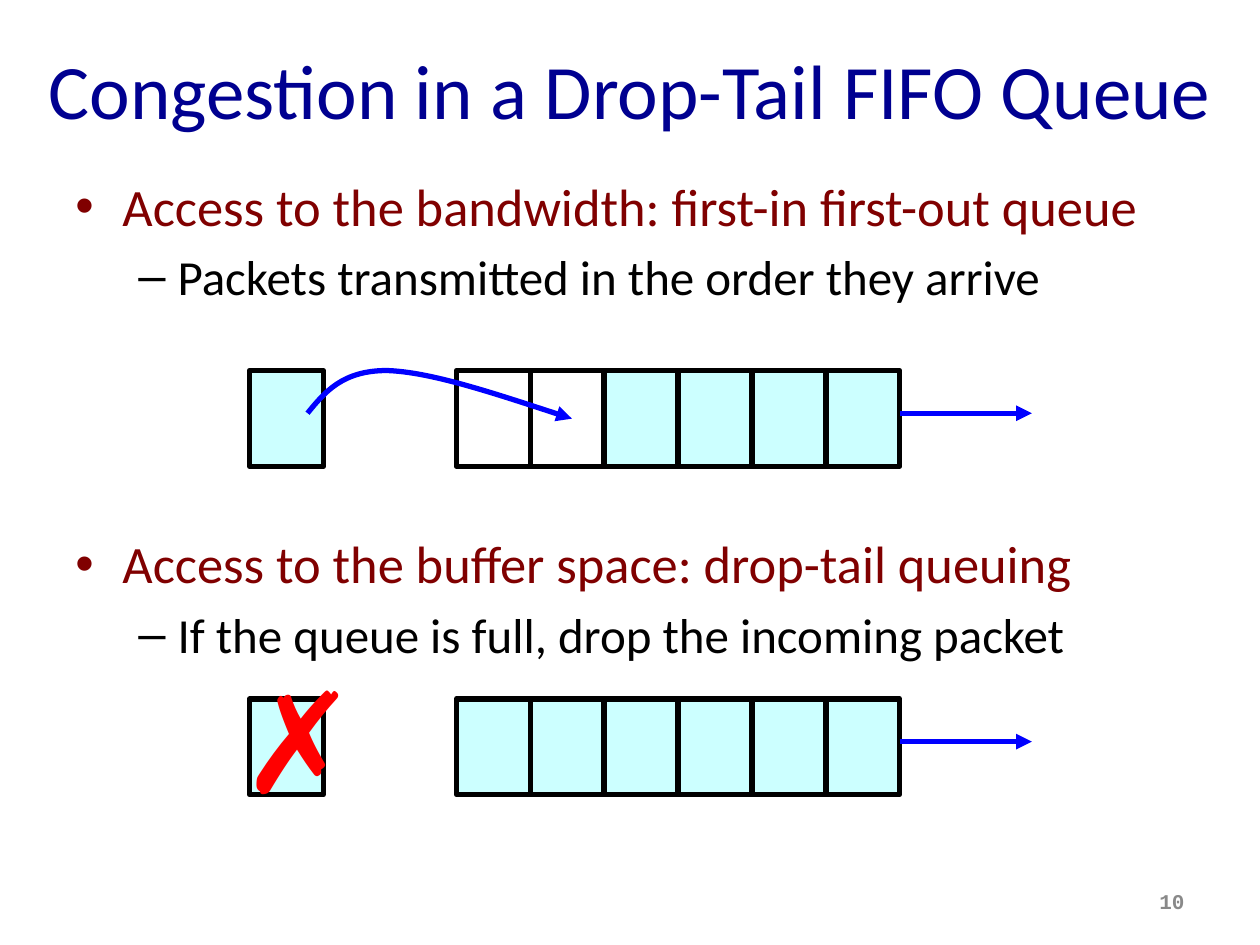
from dataclasses import dataclass

from lxml import etree
from pptx import Presentation
from pptx.dml.color import RGBColor
from pptx.enum.shapes import MSO_CONNECTOR, MSO_SHAPE
from pptx.enum.text import MSO_ANCHOR, MSO_AUTO_SIZE, PP_ALIGN
from pptx.oxml.ns import qn
from pptx.util import Cm, Pt

RECT = MSO_SHAPE.RECTANGLE
STRAIGHT = MSO_CONNECTOR.STRAIGHT
LEFT, CENTER, RIGHT = PP_ALIGN.LEFT, PP_ALIGN.CENTER, PP_ALIGN.RIGHT
TOP, MIDDLE = MSO_ANCHOR.TOP, MSO_ANCHOR.MIDDLE
NO_AUTOFIT = MSO_AUTO_SIZE.NONE
TITLE_ONLY = 5


@dataclass(frozen=True)
class Theme:
    title: str = "000090"
    topic: str = "800000"
    detail: str = "000000"
    muted: str = "898989"
    packet: str = "CCFFFF"
    outline: str = "000000"
    flow: str = "0000FF"
    dropped: str = "FF0000"
    font: str = "Calibri"
    number_font: str = "Courier New"
    symbol_font: str = "Arial"
    title_size: int = 44
    topic_size: int = 30
    detail_size: int = 28
    number_size: int = 12
    cross_size: int = 80
    line_width: int = 3


THEME = Theme()

# Lengths inside a queue row, in cm from its top left corner
CELL_WIDTH, CELL_HEIGHT = 1.49, 1.93
QUEUE_LEFT, QUEUE_CELLS = 4.17, 6
OUTPUT_Y, OUTPUT_START, OUTPUT_END = 0.86, 13.11, 15.77
ENTRY_CURVE = [(1.17, 0.86), (1.52, 0.43), (1.88, 0), (2.77, 0),
               (3.66, 0.03), (5.08, 0.51), (6.5, 0.97)]


def write(paragraph, text, *, size, color, font=THEME.font, bold=False, align=LEFT):
    paragraph.alignment = align
    run = paragraph.add_run()
    run.text = text
    run.font.name = font
    run.font.size = Pt(size)
    run.font.bold = bold
    run.font.color.rgb = RGBColor.from_string(color)


def add_text_frame(shapes, box, *, anchor=TOP, wrap=True):
    frame = shapes.add_textbox(*map(Cm, box)).text_frame
    frame.word_wrap = wrap
    frame.vertical_anchor = anchor
    return frame


def set_bullet(paragraph, character, indent, hanging):
    properties = paragraph._p.get_or_add_pPr()
    properties.set("marL", str(Cm(indent)))
    properties.set("indent", str(-Cm(hanging)))
    etree.SubElement(properties, qn("a:buFont"), typeface=THEME.symbol_font)
    etree.SubElement(properties, qn("a:buChar"), char=character)


def style_flow(shape):
    """Give an open line the flow colour, an arrowhead at its end and no shadow."""
    shape.line.color.rgb = RGBColor.from_string(THEME.flow)
    shape.line.width = Pt(THEME.line_width)
    etree.SubElement(shape.line._get_or_add_ln(), qn("a:tailEnd"), type="triangle")


def add_title(slide, box, text):
    title = slide.shapes.title
    title.left, title.top, title.width, title.height = map(Cm, box)
    frame = title.text_frame
    frame.auto_size = NO_AUTOFIT
    frame.vertical_anchor = MIDDLE
    write(frame.paragraphs[0], text, size=THEME.title_size, color=THEME.title, align=CENTER)


def add_point(slide, box, topic, detail):
    """Add a bulleted topic with one detail below it."""
    frame = add_text_frame(slide.shapes, box)
    topic_line = frame.paragraphs[0]
    detail_line = frame.add_paragraph()
    detail_line.level = 1
    write(topic_line, topic, size=THEME.topic_size, color=THEME.topic)
    write(detail_line, detail, size=THEME.detail_size, color=THEME.detail)
    for line, size in ((topic_line, THEME.topic_size), (detail_line, THEME.detail_size)):
        line.space_before = Pt(0.2 * size)
    set_bullet(topic_line, "•", 0.95, 0.95)
    set_bullet(detail_line, "–", 2.06, 0.79)


def add_cell(shapes, left, top, filled):
    cell = shapes.add_shape(RECT, Cm(left), Cm(top), Cm(CELL_WIDTH), Cm(CELL_HEIGHT))
    cell.shadow.inherit = False
    cell.line.color.rgb = RGBColor.from_string(THEME.outline)
    cell.line.width = Pt(THEME.line_width)
    if filled:
        cell.fill.solid()
        cell.fill.fore_color.rgb = RGBColor.from_string(THEME.packet)
    else:
        cell.fill.background()


def add_entry_curve(shapes, left, top):
    points = [(Cm(left + x), Cm(top + y)) for x, y in ENTRY_CURVE]
    builder = shapes.build_freeform(*points[0])
    builder.add_line_segments(points[1:], close=False)
    curve = builder.convert_to_shape()
    curve.fill.background()
    curve.shadow.inherit = False
    style_flow(curve)
    # Every three straight segments become the control points of one Bézier
    path = curve._element.find(".//" + qn("a:path"))
    segments = path.findall(qn("a:lnTo"))
    for start in range(0, len(segments), 3):
        bezier = etree.SubElement(path, qn("a:cubicBezTo"))
        for segment in segments[start:start + 3]:
            bezier.append(segment[0])
            path.remove(segment)


def add_output_arrow(shapes, left, top):
    y = Cm(top + OUTPUT_Y)
    arrow = shapes.add_connector(STRAIGHT, Cm(left + OUTPUT_START), y, Cm(left + OUTPUT_END), y)
    style_flow(arrow)
    etree.SubElement(arrow._element.spPr, qn("a:effectLst"))


def add_drop_cross(shapes, left, top):
    frame = add_text_frame(shapes, (left - 0.43, top - 1.03, 2.18, 3.68), wrap=False)
    write(frame.paragraphs[0], "✗", size=THEME.cross_size, color=THEME.dropped,
          font=THEME.symbol_font, bold=True, align=CENTER)


def add_queue(slide, left, top, free_cells):
    """Draw an arriving packet beside a queue; a full queue drops the packet."""
    shapes = slide.shapes.add_group_shape().shapes
    for index in range(QUEUE_CELLS):
        add_cell(shapes, left + QUEUE_LEFT + index * CELL_WIDTH, top, index >= free_cells)
    add_cell(shapes, left, top, True)
    add_output_arrow(shapes, left, top)
    if free_cells:
        add_entry_curve(shapes, left, top)
    else:
        add_drop_cross(shapes, left, top)


def add_page_number(slide, box, number):
    frame = add_text_frame(slide.shapes, box, anchor=MIDDLE)
    write(frame.paragraphs[0], number, size=THEME.number_size, color=THEME.muted,
          font=THEME.number_font, bold=True, align=RIGHT)


def main():
    deck = Presentation()
    deck.slide_width, deck.slide_height = Cm(25.4), Cm(19.05)
    slide = deck.slides.add_slide(deck.slide_layouts[TITLE_ONLY])

    add_title(slide, (0.64, 0.2, 24.13, 3.18), "Congestion in a Drop-Tail FIFO Queue")
    add_point(slide, (1.27, 3.38, 23.5, 6.55),
              "Access to the bandwidth: first-in first-out queue",
              "Packets transmitted in the order they arrive")
    add_queue(slide, 5.03, 7.47, free_cells=2)
    add_point(slide, (1.27, 10.59, 23.7, 3.81),
              "Access to the buffer space: drop-tail queuing",
              "If the queue is full, drop the incoming packet")
    add_queue(slide, 5.03, 14.09, free_cells=0)
    add_page_number(slide, (18.21, 17.65, 5.92, 1.02), "10")

    deck.save("out.pptx")


if __name__ == "__main__":
    main()
